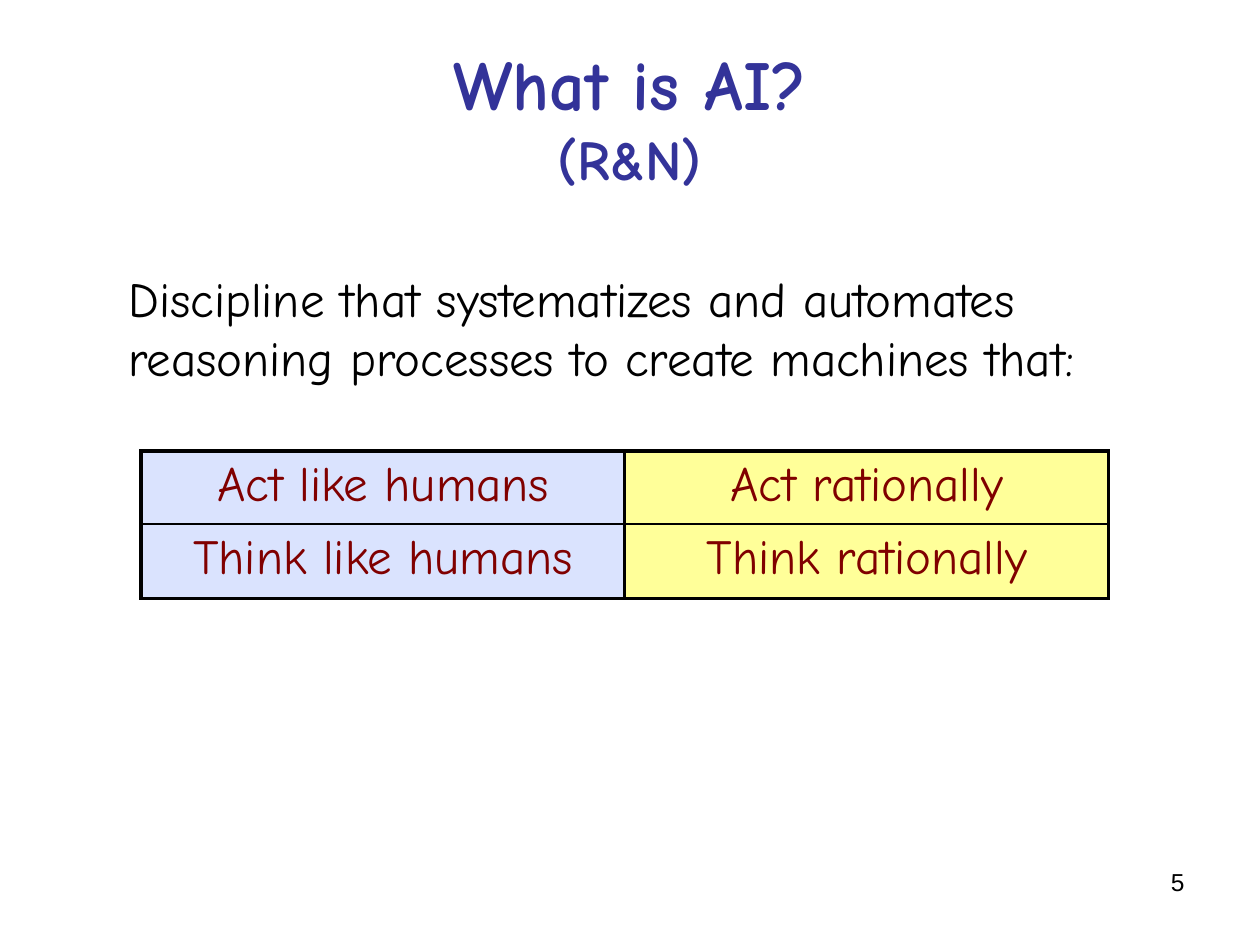
import pptx
import pptx.dml.color
import pptx.enum.shapes
import pptx.enum.text
import pptx.oxml
import pptx.oxml.ns
import pptx.util

Inches, Pt = pptx.util.Inches, pptx.util.Pt
RGBColor = pptx.dml.color.RGBColor
ALIGN = pptx.enum.text.PP_ALIGN
ANCHOR = pptx.enum.text.MSO_ANCHOR

BLACK = RGBColor(0x00, 0x00, 0x00)
NAVY = RGBColor(0x33, 0x33, 0x99)
MAROON = RGBColor(0x80, 0x00, 0x00)
PALE_BLUE = RGBColor(0xDA, 0xE3, 0xFE)
PALE_YELLOW = RGBColor(0xFF, 0xFF, 0x99)

# Content
TITLE = [("What is AI?", 40), ("(R&N)", 32)]
DEFINITION = ("Discipline that systematizes and automates "
              "reasoning processes to create machines that:")
APPROACHES = [["Act like humans", "Act rationally"],
              ["Think like humans", "Think rationally"]]
PAGE_NUMBER = "5"

# Layout: left, top, width, height in inches
TITLE_BOX = (0.5, 0.3, 9, 1.25)
BODY_BOX = (0.92, 2.08, 8.58, 4.5)
NUMBER_BOX = (7.17, 6.83, 2.33, 0.52)
PANELS = [((1.13, 3.58, 3.82, 1.17), PALE_BLUE),
          ((4.95, 3.58, 3.85, 1.17), PALE_YELLOW)]
TABLE_BOX = (1.12, 3.58, 7.68, 1.17)
ROW_HEIGHTS = (0.58, 0.59)
OUTER_LINE, INNER_LINE = 2.25, 1


def write_text(frame, lines, size=28, font="Comic Neue", color=BLACK,
               bold=False, align=ALIGN.LEFT):
    """Write lines, each a string or a (string, size) pair, in one paragraph."""
    frame.word_wrap = True
    paragraph = frame.paragraphs[0]
    paragraph.alignment = align
    for index, line in enumerate(lines):
        text, line_size = (line, size) if isinstance(line, str) else line
        if index:
            paragraph.add_line_break()
        run = paragraph.add_run()
        run.text = text
        run.font.name = font
        run.font.size = Pt(line_size)
        run.font.bold = bold
        run.font.color.rgb = color


def add_text(slide, box, lines, anchor=ANCHOR.TOP, **text_format):
    frame = slide.shapes.add_textbox(*map(Inches, box)).text_frame
    frame.vertical_anchor = anchor
    write_text(frame, lines, **text_format)


def add_panel(slide, box, color):
    panel = slide.shapes.add_shape(
        pptx.enum.shapes.MSO_SHAPE.RECTANGLE, *map(Inches, box))
    panel.shadow.inherit = False
    panel.fill.solid()
    panel.fill.fore_color.rgb = color
    panel.line.color.rgb = BLACK
    panel.line.width = Pt(0.75)


def set_borders(cell, widths):
    properties = cell._tc.get_or_add_tcPr()
    for index, (side, width) in enumerate(zip("LRTB", widths)):
        properties.insert(index, pptx.oxml.parse_xml(
            f'<a:ln{side} {pptx.oxml.ns.nsdecls("a")} w="{Pt(width)}">'
            f'<a:solidFill><a:srgbClr val="{BLACK}"/></a:solidFill>'
            f'</a:ln{side}>'))


def add_approaches(slide):
    row_count, column_count = len(APPROACHES), len(APPROACHES[0])
    table = slide.shapes.add_table(
        row_count, column_count, *map(Inches, TABLE_BOX)).table
    table.first_row = table.horz_banding = False
    for row, height in zip(table.rows, ROW_HEIGHTS):
        row.height = Inches(height)
    for i, texts in enumerate(APPROACHES):
        for j, text in enumerate(texts):
            cell = table.cell(i, j)
            cell.fill.background()  # the coloured panels show through
            write_text(cell.text_frame, [text], color=MAROON, align=ALIGN.CENTER)
            on_edge = (j == 0, j == column_count - 1, i == 0, i == row_count - 1)
            set_borders(cell, [OUTER_LINE if edge else INNER_LINE
                               for edge in on_edge])


def main():
    presentation = pptx.Presentation()
    presentation.slide_width = Inches(10)
    presentation.slide_height = Inches(7.5)
    slide = presentation.slides.add_slide(presentation.slide_layouts[6])

    # Page number
    add_text(slide, NUMBER_BOX, [PAGE_NUMBER], size=14, font="Arial",
             align=ALIGN.RIGHT)

    # Coloured panels with the table over them
    for box, color in PANELS:
        add_panel(slide, box, color)
    add_approaches(slide)

    # Title and definition
    add_text(slide, TITLE_BOX, TITLE, anchor=ANCHOR.MIDDLE, color=NAVY,
             bold=True, align=ALIGN.CENTER)
    add_text(slide, BODY_BOX, [DEFINITION])

    presentation.save("out.pptx")


if __name__ == "__main__":
    main()
